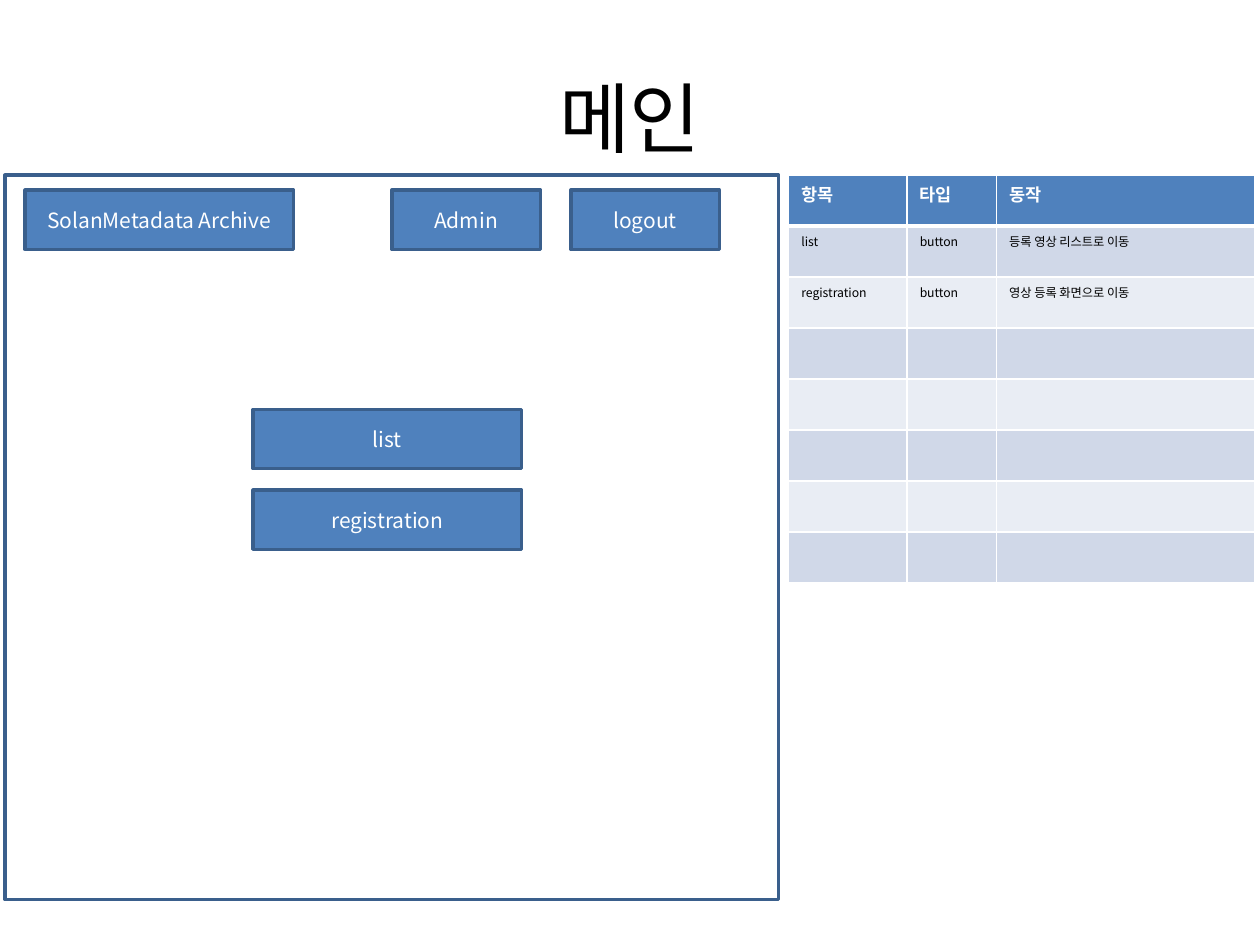
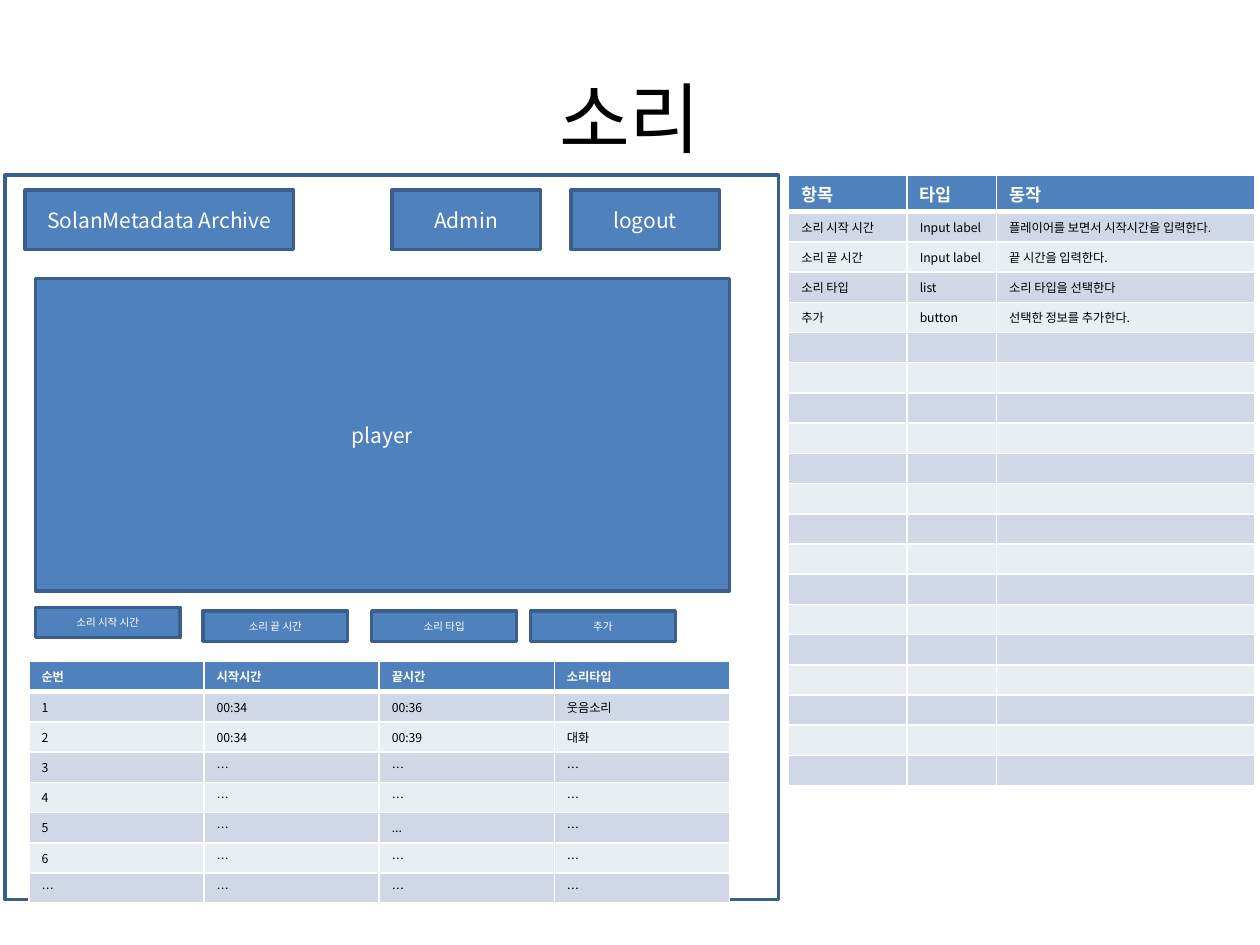
import lxml.etree
import pptx
import pptx.dml.color
import pptx.enum.shapes
import pptx.enum.text
import pptx.oxml.ns
import pptx.util

Inches = pptx.util.Inches
FONT = "Noto Sans CJK KR"
COLORS = {
    "accent": "4F81BD",
    "outline": "3A5F8C",
    "dark_band": "D0D8E8",
    "light_band": "E9EDF4",
    "white": "FFFFFF",
    "black": "000000",
}
SPEC_COLUMNS = [0.94, 0.71, 2.05]
SPEC_HEADER = ["항목", "타입", "동작"]
MAIN_ACTIONS = [
    ["list", "button", "등록 영상 리스트로 이동"],
    ["registration", "button", "영상 등록 화면으로 이동"],
]
SOUND_ACTIONS = [
    ["소리 시작 시간", "Input label", "플레이어를 보면서 시작시간을 입력한다."],
    ["소리 끝 시간", "Input label", "끝 시간을 입력한다."],
    ["소리 타입", "list", "소리 타입을 선택한다"],
    ["추가", "button", "선택한 정보를 추가한다."],
]
SOUND_LOG = [
    ["순번", "시작시간", "끝시간", "소리타입"],
    ["1", "00:34", "00:36", "웃음소리"],
    ["2", "00:34", "00:39", "대화"],
    ["3", "…", "…", "…"],
    ["4", "…", "…", "…"],
    ["5", "…", "...", "…"],
    ["6", "…", "…", "…"],
    ["…", "…", "…", "…"],
]


def rgb(name):
    return pptx.dml.color.RGBColor.from_string(COLORS[name])


def write_text(frame, text, size=12, color="white", bold=False, align="CENTER"):
    paragraph = frame.paragraphs[0]
    paragraph.alignment = getattr(pptx.enum.text.PP_ALIGN, align)
    if not text:
        # An empty cell needs its own size, or its row grows to fit 18 points.
        end = lxml.etree.SubElement(paragraph._p, pptx.oxml.ns.qn("a:endParaRPr"))
        end.set("sz", str(size * 100))
        return
    run = paragraph.add_run()
    run.text = text
    run.font.name = FONT
    run.font.size = pptx.util.Pt(size)
    run.font.bold = bold
    run.font.color.rgb = rgb(color)
    east_asian = lxml.etree.SubElement(run._r.get_or_add_rPr(), pptx.oxml.ns.qn("a:ea"))
    east_asian.set("typeface", FONT)


def add_title(slide, text):
    box = slide.shapes.add_textbox(Inches(0.5), Inches(0.3), Inches(9), Inches(1.25))
    box.text_frame.word_wrap = True
    box.text_frame.vertical_anchor = pptx.enum.text.MSO_ANCHOR.MIDDLE
    write_text(box.text_frame, text, size=44, color="black")


def add_box(slide, left, top, width, height, text="", size=12, filled=True):
    shape = slide.shapes.add_shape(
        pptx.enum.shapes.MSO_SHAPE.RECTANGLE,
        Inches(left), Inches(top), Inches(width), Inches(height))
    shape.shadow.inherit = False
    shape.line.color.rgb = rgb("outline")
    shape.line.width = pptx.util.Pt(2)
    if filled:
        shape.fill.solid()
        shape.fill.fore_color.rgb = rgb("accent")
    else:
        shape.fill.background()
    if text:
        shape.text_frame.word_wrap = True
        shape.text_frame.vertical_anchor = pptx.enum.text.MSO_ANCHOR.MIDDLE
        write_text(shape.text_frame, text, size=size)


def set_borders(cell, top=1, bottom=1):
    """Give the cell white borders; top and bottom are widths in points."""
    properties = cell._tc.get_or_add_tcPr()
    widths = {"a:lnL": 1, "a:lnR": 1, "a:lnT": top, "a:lnB": bottom}
    for position, (tag, width) in enumerate(widths.items()):
        line = lxml.etree.Element(pptx.oxml.ns.qn(tag), w=str(pptx.util.Pt(width)))
        fill = lxml.etree.SubElement(line, pptx.oxml.ns.qn("a:solidFill"))
        lxml.etree.SubElement(fill, pptx.oxml.ns.qn("a:srgbClr"), val=COLORS["white"])
        properties.insert(position, line)


def add_banded_table(slide, left, top, columns, rows, header_height, row_height, header_size):
    heights = [header_height] + [row_height] * (len(rows) - 1)
    table = slide.shapes.add_table(
        len(rows), len(columns), Inches(left), Inches(top),
        Inches(sum(columns)), Inches(sum(heights))).table
    table.first_row = table.horz_banding = False
    for column, width in zip(table.columns, columns):
        column.width = Inches(width)
    for row_index, (row, height) in enumerate(zip(rows, heights)):
        table.rows[row_index].height = Inches(height)
        is_header = row_index == 0
        band = "accent" if is_header else "dark_band" if row_index % 2 else "light_band"
        for column_index, text in enumerate(row):
            cell = table.cell(row_index, column_index)
            cell.fill.solid()
            cell.fill.fore_color.rgb = rgb(band)
            set_borders(cell, top=3 if row_index == 1 else 1, bottom=3 if is_header else 1)
            write_text(cell.text_frame, text, size=header_size if is_header else 7,
                       color="white" if is_header else "black", bold=is_header, align="LEFT")


def add_action_table(slide, actions, row_count, header_height, row_height):
    """List the actions of a screen, followed by blank rows up to row_count."""
    blanks = [[""] * len(SPEC_HEADER)] * (row_count - 1 - len(actions))
    add_banded_table(slide, 6.26, 1.39, SPEC_COLUMNS, [SPEC_HEADER] + actions + blanks,
                     header_height, row_height, header_size=10)


def add_screen(presentation, title):
    """Add a slide with its title, the screen frame and the menu buttons."""
    slide = presentation.slides.add_slide(presentation.slide_layouts[6])
    add_box(slide, 0.04, 1.39, 6.14, 5.75, filled=False)
    add_title(slide, title)
    menu = [("SolanMetadata Archive", 0.2, 2.13), ("Admin", 3.11, 1.18), ("logout", 4.53, 1.18)]
    for label, left, width in menu:
        add_box(slide, left, 1.51, width, 0.47, label)
    return slide


def add_main_screen(presentation):
    slide = add_screen(presentation, "메인")
    for index, label in enumerate(["list", "registration"]):
        add_box(slide, 2.01, 3.25 + index * 0.64, 2.13, 0.47, label)
    add_action_table(slide, MAIN_ACTIONS, 8, header_height=3.24 / 8, row_height=3.24 / 8)


def add_sound_screen(presentation):
    slide = add_screen(presentation, "소리")
    add_action_table(slide, SOUND_ACTIONS, 20, header_height=0.29, row_height=0.24)
    add_box(slide, 0.28, 2.21, 5.51, 2.48, "player")
    controls = [("소리 시작 시간", 0.28, 4.82), ("소리 끝 시간", 1.61, 4.85),
                ("소리 타입", 2.95, 4.85), ("추가", 4.21, 4.85)]
    for label, left, top in controls:
        add_box(slide, left, top, 1.15, 0.24, label, size=6)
    add_banded_table(slide, 0.23, 5.25, [1.39] * 4, SOUND_LOG, 0.24, 0.24, header_size=7)


def main():
    presentation = pptx.Presentation()
    presentation.slide_width = Inches(10)
    presentation.slide_height = Inches(7.5)
    add_main_screen(presentation)
    add_sound_screen(presentation)
    presentation.save("out.pptx")


if __name__ == "__main__":
    main()
